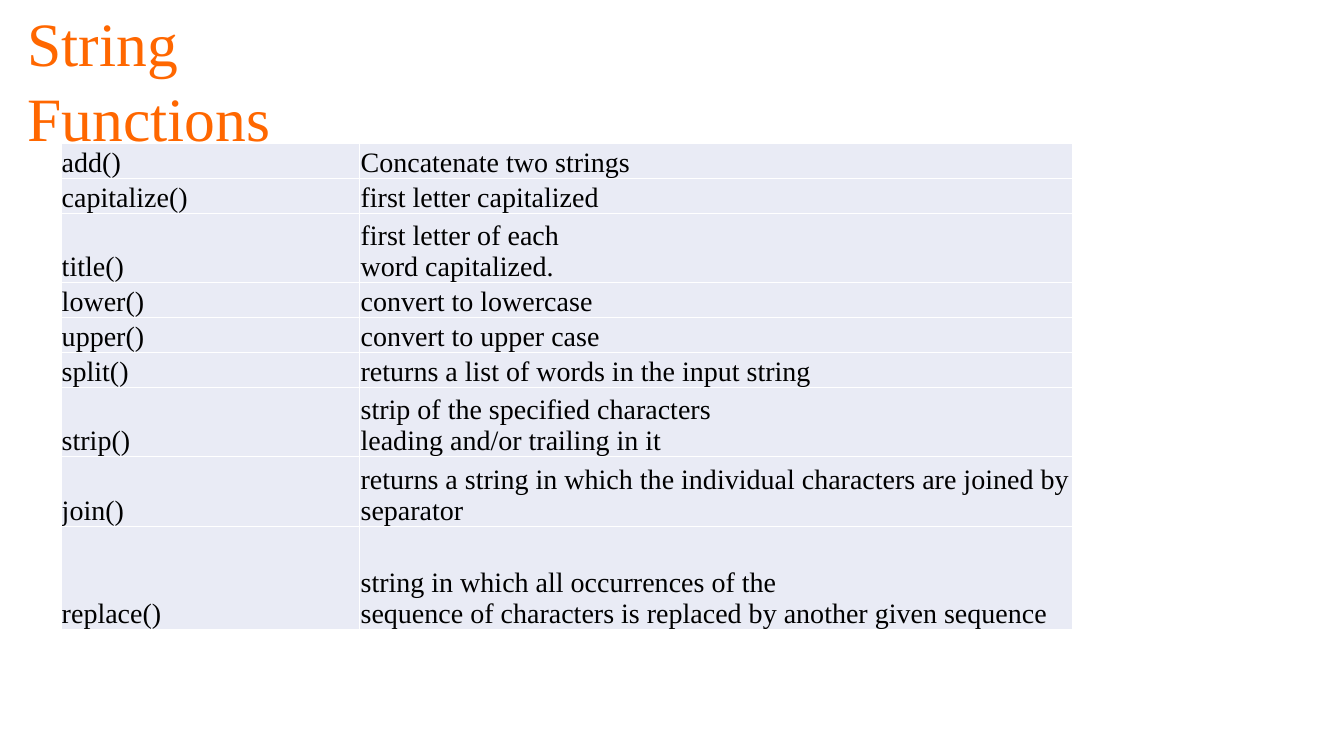
from dataclasses import dataclass

from lxml import etree
from pptx import Presentation
from pptx import util as u
from pptx.dml.color import RGBColor
from pptx.enum import text
from pptx.oxml import ns


@dataclass(frozen=True)
class Theme:
    font: str = "Times New Roman"
    title_size: int = 44
    cell_size: int = 20
    title: str = "FF6700"
    ink: str = "000000"
    cell: str = "E9EBF5"
    border: str = "FFFFFF"


theme = Theme()


def style(p, size, color):
    p.font.name = theme.font
    p.font.size = u.Pt(size)
    p.font.color.rgb = RGBColor.from_string(color)


def add_borders(cell):
    tcPr = cell._tc.get_or_add_tcPr()
    for i, side in enumerate(("lnL", "lnR", "lnT", "lnB")):
        ln = etree.Element(ns.qn(f"a:{side}"), w=str(u.Pt(1)))
        fill = etree.SubElement(ln, ns.qn("a:solidFill"))
        etree.SubElement(fill, ns.qn("a:srgbClr"), val=theme.border)
        tcPr.insert(i, ln)


prs = Presentation()
prs.slide_width, prs.slide_height = u.Pt(960), u.Pt(540)
s = prs.slides.add_slide(prs.slide_layouts[6])

# Title, on two lines
sp = s.shapes.add_textbox(u.Pt(12.5), u.Pt(0), u.Pt(300), u.Pt(60.5))
tf = sp.text_frame
tf.word_wrap = True
p = tf.paragraphs[0]
p.text = "String\vFunctions"
p.line_spacing = u.Pt(53)
style(p, theme.title_size, theme.title)

# Table of functions: name, description, row height
single, double, triple = 25, 49.5, 74
functions = [
    ("add()", "Concatenate two strings", single),
    ("capitalize()", "first letter capitalized", single),
    ("title()", "first letter of each\vword capitalized.", double),
    ("lower()", "convert to lowercase", single),
    ("upper()", "convert to upper case", single),
    ("split()", "returns a list of words in the input string", single),
    ("strip()", "strip of the specified characters\vleading and/or trailing in it", double),
    ("join()", "returns a string in which the individual characters are joined by separator", double),
    ("replace()", "string in which all occurrences of the\vsequence of characters "
                  "is replaced by another given sequence", triple),
]
widths = (213.5, 509)
height = sum(row[-1] for row in functions)
table = s.shapes.add_table(len(functions), len(widths), u.Pt(43.5), u.Pt(102.5),
                           u.Pt(sum(widths)), u.Pt(height)).table
table.first_row = table.horz_banding = False
for column, width in zip(table.columns, widths):
    column.width = u.Pt(width)

for row, (name, description, row_height) in zip(table.rows, functions):
    row.height = u.Pt(row_height)
    for cell, words in zip(row.cells, (name, description)):
        cell.margin_left = cell.margin_right = cell.margin_top = u.Pt(0.6)
        cell.margin_bottom = u.Pt(0)
        cell.vertical_anchor = text.MSO_ANCHOR.BOTTOM
        cell.fill.solid()
        cell.fill.fore_color.rgb = RGBColor.from_string(theme.cell)
        add_borders(cell)
        p = cell.text_frame.paragraphs[0]
        p.text = words
        style(p, theme.cell_size, theme.ink)

prs.save("out.pptx")
